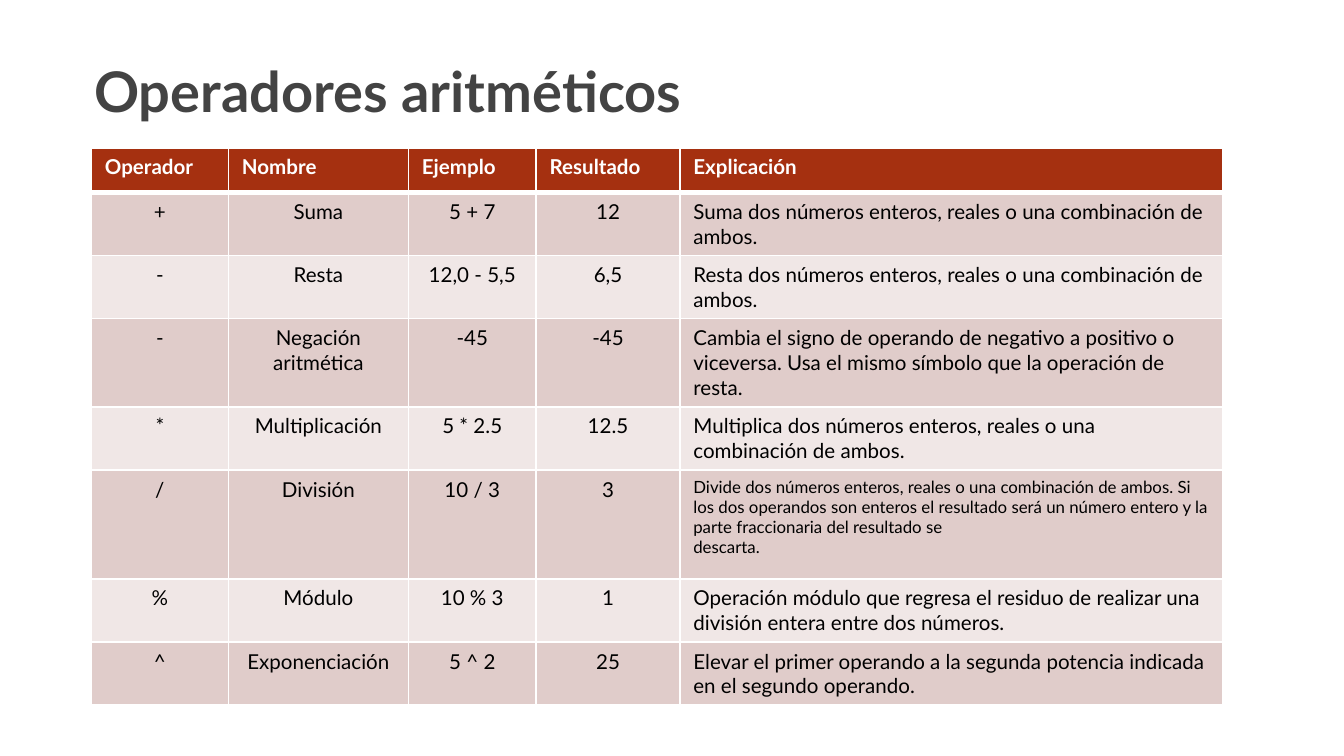
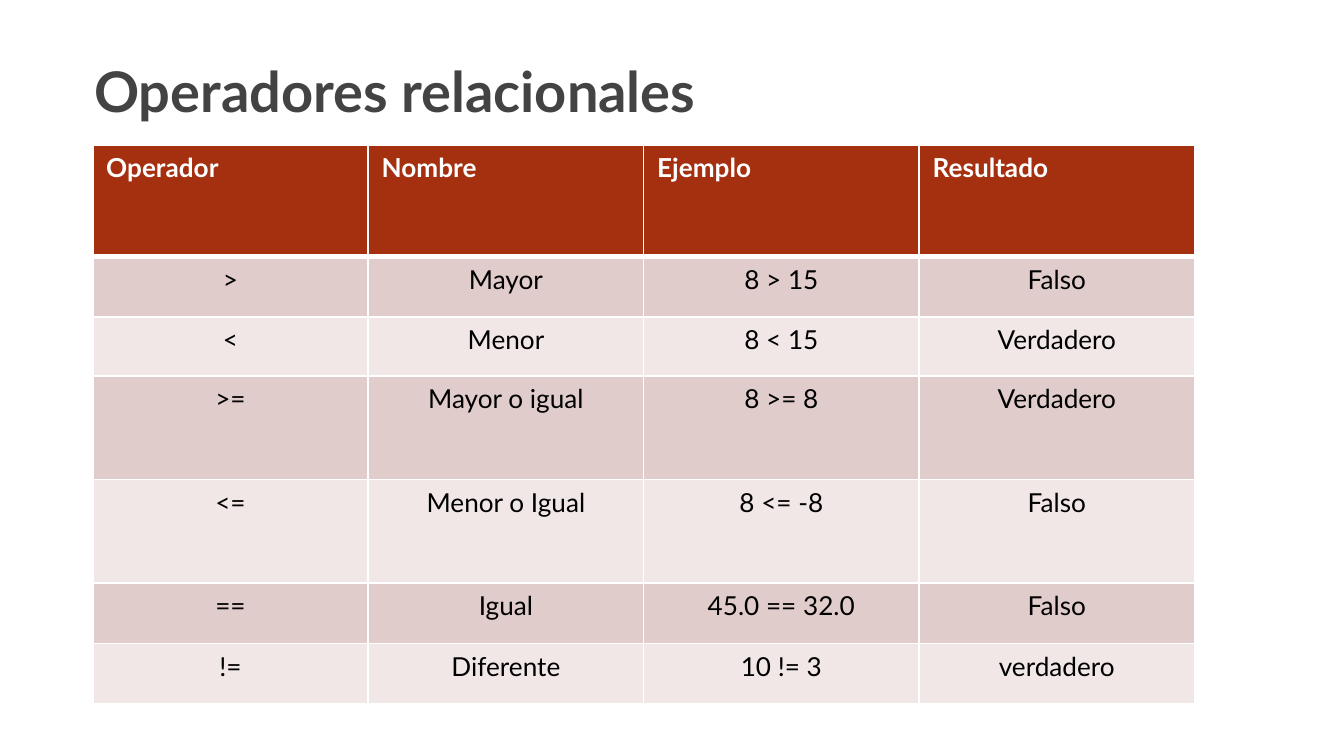
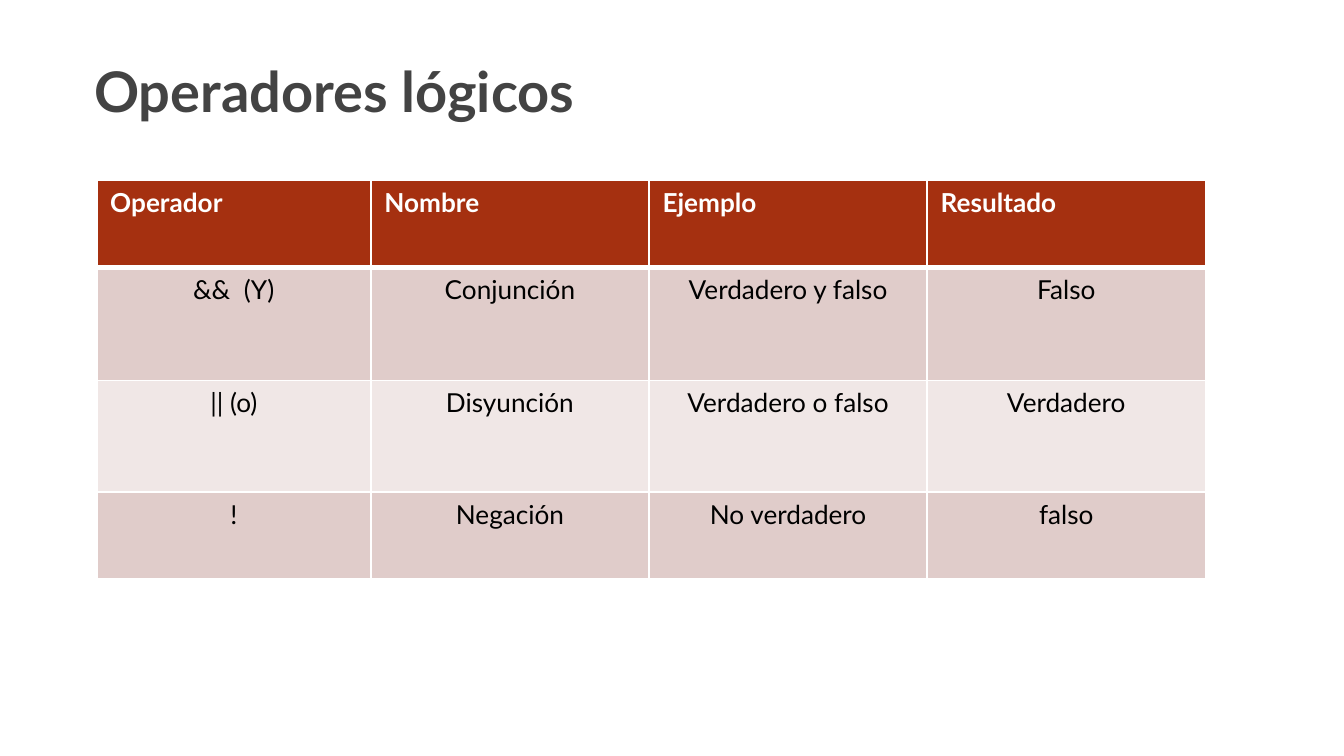
from pptx import Presentation
from pptx.dml.color import RGBColor
from pptx.enum.text import MSO_ANCHOR, MSO_AUTO_SIZE, PP_ALIGN
from pptx.oxml.ns import qn
from pptx.util import Inches, Pt
from lxml.etree import SubElement

# Shared look
FONT = "Lato"
GREY = RGBColor(0x43, 0x43, 0x43)
BLACK = RGBColor(0, 0, 0)
WHITE = RGBColor(0xFF, 0xFF, 0xFF)
RUST = RGBColor(0xA5, 0x30, 0x10)
BANDS = RGBColor(0xE0, 0xCC, 0xCA), RGBColor(0xF0, 0xE7, 0xE6)
TITLE_BOX = 0.6, 0.3, 8.74, 0.72
THIN, THICK = Pt(1), Pt(3)

HEAD = ["Operador", "Nombre", "Ejemplo", "Resultado"]

# Table contents
MATH = [
    HEAD + ["Explicación"],
    ["+", "Suma", "5 + 7", "12",
     "Suma dos números enteros, reales o una combinación de ambos."],
    ["-", "Resta", "12,0 - 5,5", "6,5",
     "Resta dos números enteros, reales o una combinación de ambos."],
    ["-", "Negación\naritmética", "-45", "-45",
     "Cambia el signo de operando de negativo a positivo o viceversa. "
     "Usa el mismo símbolo que la operación de resta."],
    ["*", "Multiplicación", "5 * 2.5", "12.5",
     "Multiplica dos números enteros, reales o una combinación de ambos."],
    ["/", "División", "10 / 3", "3",
     "Divide dos números enteros, reales o una combinación de ambos. "
     "Si los dos operandos son enteros el resultado será un número entero "
     "y la parte fraccionaria del resultado se\ndescarta."],
    ["%", "Módulo", "10 % 3", "1",
     "Operación módulo que regresa el residuo de realizar una división "
     "entera entre dos números."],
    ["^", "Exponenciación", "5 ^ 2", "25",
     "Elevar el primer operando a la segunda potencia indicada en el "
     "segundo operando."],
]
RELATION = [
    HEAD,
    [">", "Mayor", "8 > 15", "Falso"],
    ["<", "Menor", "8 < 15", "Verdadero"],
    [">=", "Mayor o igual", "8 >= 8", "Verdadero"],
    ["<=", "Menor o Igual", "8 <= -8", "Falso"],
    ["==", "Igual", "45.0 == 32.0", "Falso"],
    ["!=", "Diferente", "10 != 3", "verdadero"],
]
LOGIC = [
    HEAD,
    ["&&  (Y)", "Conjunción", "Verdadero y falso", "Falso"],
    ["|| (o)", "Disyunción", "Verdadero o falso", "Verdadero"],
    ["!", "Negación", "No verdadero", "falso"],
]


def style(par, size, color, bold, align=PP_ALIGN.LEFT):
    par.alignment = align
    font = par.font
    font.name, font.size, font.bold = FONT, Pt(size), bold
    font.color.rgb = color


def add_title(slide, text):
    title = slide.shapes.title
    title.left, title.top, title.width, title.height = map(Inches, TITLE_BOX)
    frame = title.text_frame
    frame.text = text
    frame.word_wrap = True
    frame.auto_size = MSO_AUTO_SIZE.NONE
    frame.vertical_anchor = MSO_ANCHOR.BOTTOM
    frame.margin_left = frame.margin_right = Inches(0.1)
    frame.margin_top = frame.margin_bottom = Inches(0.1)
    style(frame.paragraphs[0], 30, GREY, True)


def add_edges(cell, top, bottom):
    props = cell._tc.get_or_add_tcPr()
    edges = {"a:lnL": THIN, "a:lnR": THIN, "a:lnT": top, "a:lnB": bottom}
    for tag, width in edges.items():
        line = SubElement(props, qn(tag), w=str(width))
        fill = SubElement(line, qn("a:solidFill"))
        SubElement(fill, qn("a:srgbClr"), val=str(WHITE))


def fill_cell(cell, text, row, size, align):
    head = row == 0
    add_edges(cell, THICK if row == 1 else THIN, THICK if head else THIN)
    cell.fill.solid()
    cell.fill.fore_color.rgb = RUST if head else BANDS[(row - 1) % 2]
    cell.text = text
    for par in cell.text_frame.paragraphs:
        style(par, size, WHITE if head else BLACK, head, align)


def add_grid(slide, left, top, cols, rows, data, size, small=()):
    """Cells listed in small, as (row, column), are set in 9 points."""
    frame = slide.shapes.add_table(
        len(rows), len(cols), Inches(left), Inches(top),
        Inches(sum(cols)), Inches(sum(rows)))
    table = frame.table
    table.first_row = table.horz_banding = False
    for col, width in zip(table.columns, cols):
        col.width = Inches(width)
    for row, height in zip(table.rows, rows):
        row.height = Inches(height)
    for r, line in enumerate(data):
        for c, text in enumerate(line):
            # Headings and explanations are left-aligned
            plain = r == 0 or c >= len(HEAD)
            align = PP_ALIGN.LEFT if plain else PP_ALIGN.CENTER
            points = 9 if (r, c) in small else size
            fill_cell(table.cell(r, c), text, r, points, align)


def add_page(deck, title, *grid, **extra):
    slide = deck.slides.add_slide(deck.slide_layouts[5])
    add_title(slide, title)
    add_grid(slide, *grid, **extra)


def main():
    deck = Presentation()
    # Widescreen, 16 to 9
    deck.slide_width = Inches(10)
    deck.slide_height = Inches(10) * 9 // 16
    add_page(deck, "Operadores aritméticos", 0.68, 1.1,
             [1.02, 1.34, 0.95, 1.07, 4.04],
             [0.33, 0.43, 0.43, 0.61, 0.47, 0.81, 0.47, 0.47],
             MATH, 11, small=[(5, 4)])
    add_page(deck, "Operadores relacionales", 0.69, 1.08, [2.05] * 4,
             [0.83, 0.45, 0.44, 0.77, 0.77, 0.45, 0.45], RELATION, 14)
    add_page(deck, "Operadores lógicos", 0.72, 1.34, [2.04] + [2.07] * 3,
             [0.65, 0.84, 0.83, 0.65], LOGIC, 14)
    deck.save("out.pptx")


if __name__ == "__main__":
    main()
